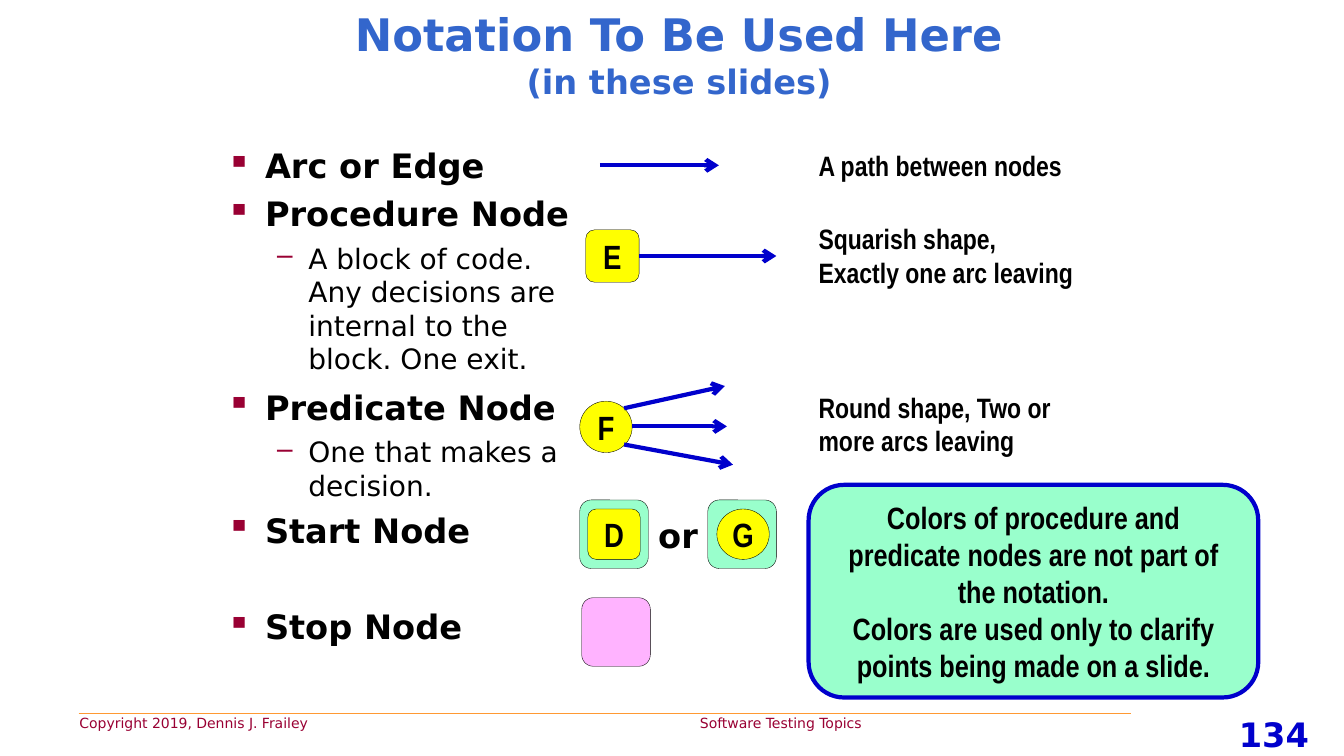
from dataclasses import dataclass
from lxml import etree
from pptx import Presentation
from pptx import util as u
from pptx.dml.color import RGBColor
from pptx.enum import shapes, text
from pptx.oxml import ns

HUES = {
    "title": "3366CC", "ink": "000000", "wine": "990033", "blue": "0000CC",
    "rule": "FF9933", "mint": "99FFCC", "pink": "FFB3FF", "yellow": "FFFF00",
}
WIDE, SLIM = "DejaVu Sans", "Arial Narrow"
ROUND, OVAL = shapes.MSO_SHAPE.ROUNDED_RECTANGLE, shapes.MSO_SHAPE.OVAL
LEFT, MID = text.PP_ALIGN.LEFT, text.PP_ALIGN.CENTER


@dataclass
class Node:
    box: tuple
    fill: str
    label: str = ""
    form: int = ROUND
    edge: str = "ink"
    width: float = 0.25
    size: int = 24


@dataclass
class Label:
    box: tuple
    words: str
    size: int = 20
    font: str = SLIM
    hue: str = "ink"
    bold: bool = True
    align: int = LEFT


@dataclass
class Arc:
    start: tuple
    end: tuple
    hue: str = "blue"
    width: float = 3
    head: bool = True


@dataclass
class Item:
    words: str
    level: int = 0
    gap: float = 5.5


NODES = [
    Node((5.77, 5.93, 0.68, 0.68), "pink"),
    Node((5.75, 4.96, 0.68, 0.68), "mint"),
    Node((5.83, 5.05, 0.52, 0.5), "yellow", "D"),
    Node((7.02, 4.96, 0.68, 0.68), "mint"),
    Node((7.11, 5.05, 0.52, 0.5), "yellow", "G", OVAL),
    Node((5.81, 2.28, 0.53, 0.52), "yellow", "E"),
    Node((5.75, 3.98, 0.52, 0.51), "yellow", "F", OVAL),
    Node((8.02, 4.81, 4.46, 2.11), "mint",
         "Colors of procedure and predicate nodes are not part of the notation.\n"
         "Colors are used only to clarify points being made on a slide.",
         edge="blue", width=3, size=22),
]
LABELS = [
    Label((11.93, 7.03, 1.41, 0.5), "134", 24, WIDE, "blue", align=MID),
    Label((6.43, 5.06, 0.6, 0.5), "or", 24, WIDE),
    Label((8.02, 1.42, 2.65, 0.44), "A path between nodes"),
    Label((8.02, 2.15, 2.77, 0.77), "Squarish shape, Exactly one arc leaving"),
    Label((8.02, 3.82, 3.05, 0.77), "Round shape, Two or more arcs leaving"),
]
ARCS = [
    Arc((0.78, 7.08), (11.22, 7.08), "rule", 0.75, False),
    Arc((5.95, 1.64), (7.13, 1.64)),
    Arc((6.34, 2.54), (7.7, 2.54)),
    Arc((6.27, 4.23), (7.21, 4.23)),
    Arc((6.19, 4.41), (7.27, 4.61)),
    Arc((6.19, 4.05), (7.19, 3.83)),
]
ITEMS = [
    Item("Arc or Edge", gap=0),
    Item("Procedure Node"),
    Item("A block of code. Any decisions are internal to the block. One exit.", 1),
    Item("Predicate Node", gap=8),
    Item("One that makes a decision.", 1),
    Item("Start Node"),
    Item("Stop Node", gap=40),
]


def tint(name: str) -> RGBColor:
    return RGBColor.from_string(HUES[name])


def place(box: tuple) -> list:
    return [u.Inches(n) for n in box]


def add(parent, tag: str, **attrs):
    return etree.SubElement(parent, ns.qn(tag), attrs)


def style(par, size: int, font: str, hue: str, bold: bool = True) -> None:
    for run in par.runs:
        run.font.size, run.font.name, run.font.bold = u.Pt(size), font, bold
        run.font.color.rgb = tint(hue)


def write(slide, label: Label):
    box = slide.shapes.add_textbox(*place(label.box))
    frame = box.text_frame
    frame.word_wrap = True
    frame.text = label.words
    for par in frame.paragraphs:
        par.alignment = label.align
        style(par, label.size, label.font, label.hue, label.bold)
    return frame


def draw(slide, node: Node):
    shape = slide.shapes.add_shape(node.form, *place(node.box))
    shape.shadow.inherit = False
    shape.fill.solid()
    shape.fill.fore_color.rgb = tint(node.fill)
    shape.line.color.rgb = tint(node.edge)
    shape.line.width = u.Pt(node.width)
    if node.label:
        frame = shape.text_frame
        frame.text = node.label
        frame.word_wrap = len(node.label) > 1
        frame.vertical_anchor = text.MSO_ANCHOR.MIDDLE
        for par in frame.paragraphs:
            par.alignment = MID
            style(par, node.size, SLIM, "ink")
    return shape


def link(slide, arc: Arc):
    line = slide.shapes.add_connector(
        shapes.MSO_CONNECTOR.STRAIGHT, *place(arc.start + arc.end))
    line.line.color.rgb = tint(arc.hue)
    line.line.width = u.Pt(arc.width)
    if arc.head:
        add(line.line._get_or_add_ln(), "a:tailEnd", type="arrow")
    add(line._element.spPr, "a:effectLst")
    return line


def list_items(slide) -> None:
    frame = write(slide, Label((2.15, 1.39, 3.72, 5.25),
                               "\n".join(item.words for item in ITEMS)))
    for par, item in zip(frame.paragraphs, ITEMS):
        sub = item.level == 1
        par.level = item.level
        props = par._p.get_or_add_pPr()
        props.set("marL", str(u.Inches(0.81 if sub else 0.38)))
        props.set("indent", str(u.Inches(-0.31 if sub else -0.38)))
        add(add(props, "a:buClr"), "a:srgbClr", val=HUES["wine"])
        add(props, "a:buChar", char="–" if sub else "▪")
        par.space_before = u.Pt(item.gap)
        style(par, 20 if sub else 24, WIDE, "ink", not sub)


def main() -> None:
    deck = Presentation()
    deck.slide_width, deck.slide_height = u.Inches(13.33), u.Inches(7.5)
    slide = deck.slides.add_slide(deck.slide_layouts[6])

    title = write(slide, Label((0.8, 0.08, 11.87, 0.91),
                               "Notation To Be Used Here\v(in these slides)",
                               32, WIDE, "title", align=MID))
    title.vertical_anchor = text.MSO_ANCHOR.MIDDLE
    title.paragraphs[0].runs[1].font.size = u.Pt(24)

    foot = write(slide, Label((0.69, 7.04, 10.64, 0.27),
                              "Copyright 2019, Dennis J. Frailey\t Software Testing Topics",
                              10, WIDE, "wine", False))
    tabs = add(foot.paragraphs[0]._p.get_or_add_pPr(), "a:tabLst")
    add(tabs, "a:tab", pos=str(u.Inches(6.11)), algn="l")

    list_items(slide)
    nodes = {node.label: draw(slide, node) for node in NODES}
    lines = [link(slide, arc) for arc in ARCS]
    lines[2].begin_connect(nodes["E"], 3)
    for label in LABELS:
        write(slide, label)
    deck.save("out.pptx")


if __name__ == "__main__":
    main()
